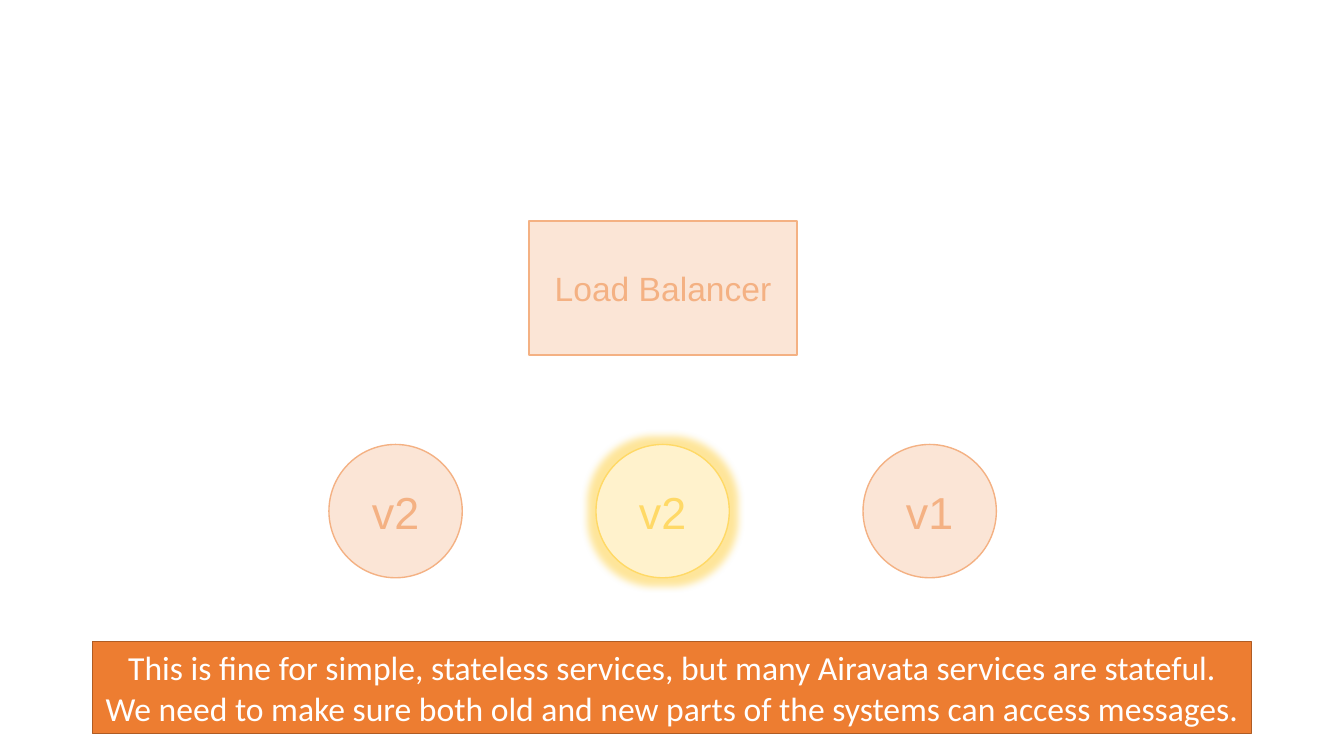
from lxml import etree
from pptx import Presentation
from pptx import util as u
from pptx.dml.color import RGBColor
from pptx.enum import shapes, text
from pptx.oxml import ns

COLORS = {
    "peach": "FBE5D6",
    "apricot": "F4B183",
    "cream": "FFF2CC",
    "yellow": "FFD966",
    "glow": "FFC000",
    "orange": "ED7D31",
    "rust": "AF5C24",
    "white": "FFFFFF",
}


def color(name):
    """Return the named palette colour."""
    return RGBColor.from_string(COLORS[name])


def add_node(slide, kind, box, label, size, fill, line, ink, font="Arial"):
    """Draw one labelled shape in a box of left, top, width and height in cm."""
    node = slide.shapes.add_shape(kind, *(u.Cm(length) for length in box))
    node.shadow.inherit = False
    node.fill.solid()
    node.fill.fore_color.rgb = color(fill)
    node.line.color.rgb = color(line)
    node.line.width = u.Pt(1)
    frame = node.text_frame
    frame.word_wrap = True
    frame.vertical_anchor = text.MSO_ANCHOR.MIDDLE
    paragraph = frame.paragraphs[0]
    paragraph.alignment = text.PP_ALIGN.CENTER
    run = paragraph.add_run()
    run.text = label
    run.font.size = u.Pt(size)
    run.font.name = font
    run.font.color.rgb = color(ink)
    return node


def add_glow(node, radius):
    """Surround a shape with a translucent glow."""
    effects = node._element.spPr.find(ns.qn("a:effectLst"))
    glow = etree.SubElement(effects, ns.qn("a:glow"), rad=str(int(radius)))
    tint = etree.SubElement(glow, ns.qn("a:srgbClr"), val=COLORS["glow"])
    etree.SubElement(tint, ns.qn("a:alpha"), val="40000")


def add_balancer(slide, box):
    """Draw the load balancer filling its box."""
    add_node(slide, shapes.MSO_SHAPE.RECTANGLE, box, "Load Balancer", 24,
             "peach", "apricot", "apricot")


def add_services(slide, box):
    """Spread the service versions evenly across the box, the middle one glowing."""
    left, top, width, diameter = box
    services = [("v2", False), ("v2", True), ("v1", False)]
    pitch = (width - diameter) / (len(services) - 1)
    for index, (version, highlighted) in enumerate(services):
        fill, accent = ("cream", "yellow") if highlighted else ("peach", "apricot")
        place = (left + index * pitch, top, diameter, diameter)
        service = add_node(slide, shapes.MSO_SHAPE.OVAL, place, version, 32,
                           fill, accent, accent)
        if highlighted:
            add_glow(service, u.Pt(11))


def add_message(slide, box):
    """Draw the closing message banner filling its box."""
    message = (
        "This is fine for simple, stateless services, but many Airavata services "
        "are stateful. We need to make sure both old and new parts of the systems "
        "can access messages."
    )
    add_node(slide, shapes.MSO_SHAPE.RECTANGLE, box, message, 24,
             "orange", "rust", "white", "Calibri")


def main():
    """Build the slide and save it."""
    deck = Presentation()
    deck.slide_width, deck.slide_height = u.Cm(33.87), u.Cm(19.05)
    slide = deck.slides.add_slide(deck.slide_layouts[6])
    add_services(slide, (8.29, 11.2, 16.82, 3.36))
    add_balancer(slide, (13.33, 5.57, 6.76, 3.38))
    add_message(slide, (2.33, 16.17, 29.21, 2.31))
    deck.save("out.pptx")


if __name__ == "__main__":
    main()
